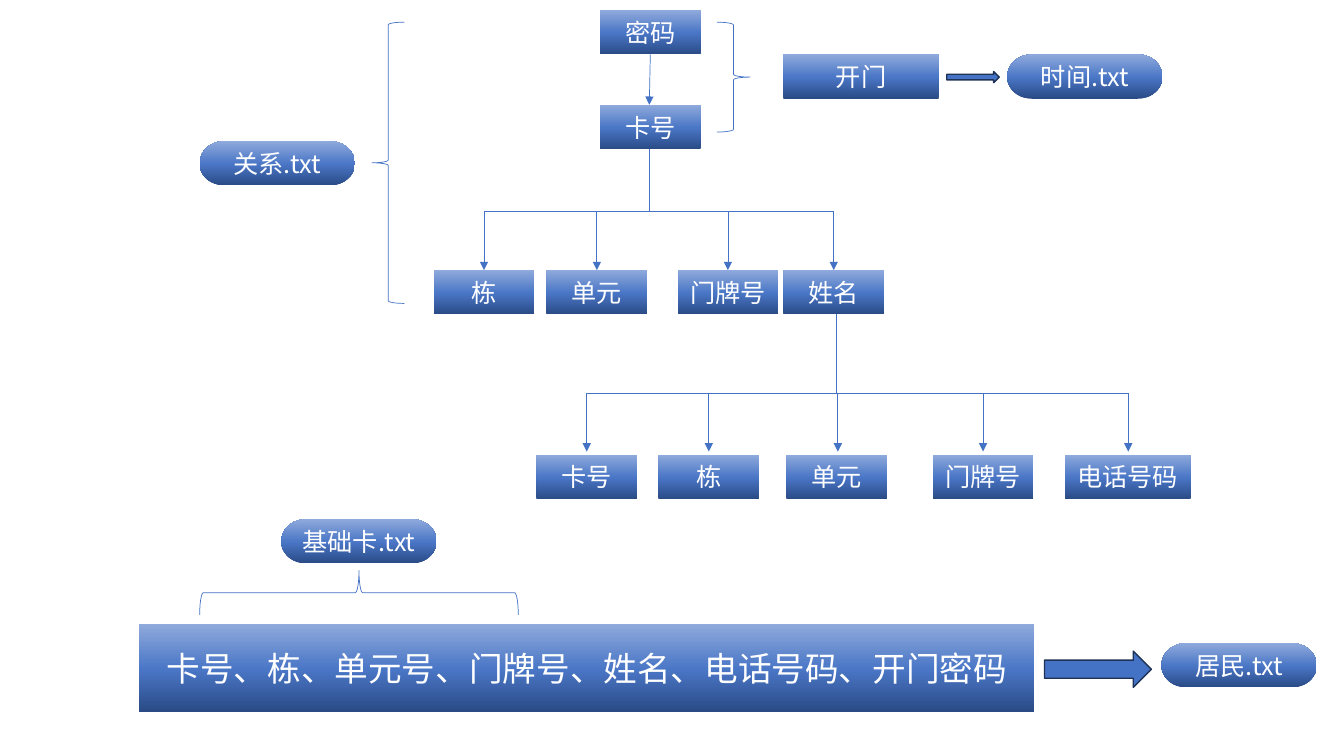
from copy import deepcopy

from lxml.etree import SubElement
from pptx import Presentation
from pptx.dml.color import RGBColor
from pptx.enum.shapes import MSO_CONNECTOR, MSO_SHAPE
from pptx.enum.text import MSO_ANCHOR, PP_ALIGN
from pptx.oxml.ns import qn
from pptx.util import Inches, Pt

FONT = "Noto Sans CJK SC"
BLUE = "4472C4"
ARROW_EDGE = "1E3256"
WHITE = "FFFFFF"
GRADIENT = [(0, "2A4B86"), (0.48, "4A76C6"), (1, "8FAADC")]
BOX_WIDTH, FILE_WIDTH, BOX_HEIGHT = 1, 1.54, 0.44


def color(hex_string):
    return RGBColor.from_string(hex_string)


def add_plain_shape(slide, kind, left, top, width, height):
    shape = slide.shapes.add_shape(
        kind, Inches(left), Inches(top), Inches(width), Inches(height))
    shape.shadow.inherit = False
    return shape


def fill_with_gradient(shape):
    shape.fill.gradient()
    shape.fill.gradient_angle = 90
    stop_list = shape._element.spPr.find(".//" + qn("a:gsLst"))
    stop_list.append(deepcopy(stop_list[-1]))  # the default has only two stops
    for stop, (position, hex_string) in zip(shape.fill.gradient_stops, GRADIENT):
        stop.position = position
        stop.color.rgb = color(hex_string)


def add_box(slide, text, left, top, width=BOX_WIDTH, height=BOX_HEIGHT,
            size=18, kind=MSO_SHAPE.RECTANGLE):
    shape = add_plain_shape(slide, kind, left, top, width, height)
    fill_with_gradient(shape)
    shape.line.fill.background()
    text_frame = shape.text_frame
    text_frame.text = text
    text_frame.word_wrap = False
    text_frame.vertical_anchor = MSO_ANCHOR.MIDDLE
    paragraph = text_frame.paragraphs[0]
    paragraph.alignment = PP_ALIGN.CENTER
    font = paragraph.runs[0].font
    font.name, font.size = FONT, Pt(size)
    font.color.rgb = color(WHITE)
    SubElement(font._element, qn("a:ea"), typeface=FONT)


def add_file(slide, text, left, top):
    add_box(slide, text, left, top, FILE_WIDTH,
            kind=MSO_SHAPE.FLOWCHART_TERMINATOR)


def add_brace(slide, kind, left, top, width, height, rotation=0):
    shape = add_plain_shape(slide, kind, left, top, width, height)
    shape.fill.background()
    shape.line.color.rgb = color(BLUE)
    shape.line.width = Pt(0.5)
    shape.rotation = rotation


def add_block_arrow(slide, left, top, width, height):
    shape = add_plain_shape(slide, MSO_SHAPE.RIGHT_ARROW, left, top, width, height)
    shape.fill.solid()
    shape.fill.fore_color.rgb = color(BLUE)
    shape.line.color.rgb = color(ARROW_EDGE)
    shape.line.width = Pt(1)


def add_line(slide, start, end, arrow=False):
    connector = slide.shapes.add_connector(
        MSO_CONNECTOR.STRAIGHT, *[Inches(value) for value in (*start, *end)])
    connector.line.color.rgb = color(BLUE)
    connector.line.width = Pt(0.5)
    if arrow:
        SubElement(connector.line._get_or_add_ln(), qn("a:tailEnd"), type="triangle")
    SubElement(connector._element.spPr, qn("a:effectLst"))


def add_branch(slide, trunk_x, trunk_top, bus_y, tips):
    """Trunk down to a horizontal bus, with an arrow down at each tip."""
    add_line(slide, (trunk_x, trunk_top), (trunk_x, bus_y))
    add_line(slide, (tips[0], bus_y), (tips[-1], bus_y))
    for tip in tips:
        add_line(slide, (tip, bus_y), (tip, bus_y + 0.58), arrow=True)


def main():
    presentation = Presentation()
    presentation.slide_width = Inches(13.33)
    presentation.slide_height = Inches(7.5)
    slide = presentation.slides.add_slide(presentation.slide_layouts[6])

    # Password leads to card number
    add_box(slide, "密码", 5.95, 0.1)
    add_line(slide, (6.45, 0.54), (6.44, 1.04), arrow=True)
    add_box(slide, "卡号", 5.95, 1.04)

    # Card number branches into address and name
    add_branch(slide, 6.44, 1.48, 2.1, [4.8, 5.92, 7.22, 8.27])
    for text, left in [("栋", 4.3), ("单元", 5.42), ("门牌号", 6.72), ("姓名", 7.77)]:
        add_box(slide, text, left, 2.68)

    # Relation file on the left
    add_brace(slide, MSO_SHAPE.LEFT_BRACE, 3.69, 0.22, 0.32, 2.79)
    add_file(slide, "关系.txt", 1.98, 1.4)

    # Door opening and time file on the right
    add_brace(slide, MSO_SHAPE.RIGHT_BRACE, 7.11, 0.22, 0.33, 1.09)
    add_box(slide, "开门", 7.77, 0.54, FILE_WIDTH)
    add_block_arrow(slide, 9.39, 0.71, 0.52, 0.11)
    add_file(slide, "时间.txt", 9.99, 0.54)

    # Name branches into the resident's details
    add_branch(slide, 8.3, 3.12, 3.9, [5.82, 7.03, 8.31, 9.75, 11.19])
    for text, left, width in [("卡号", 5.32, BOX_WIDTH), ("栋", 6.53, BOX_WIDTH),
                              ("单元", 7.8, BOX_WIDTH), ("门牌号", 9.25, BOX_WIDTH),
                              ("电话号码", 10.56, 1.25)]:
        add_box(slide, text, left, 4.51, width)

    # Full record with the base card and resident files
    add_box(slide, "卡号、栋、单元号、门牌号、姓名、电话号码、开门密码",
            1.38, 6.19, 8.88, 0.87, size=24)
    add_brace(slide, MSO_SHAPE.LEFT_BRACE, 3.34, 4.3, 0.44, 3.16, rotation=90)
    add_file(slide, "基础卡.txt", 2.79, 5.15)
    add_block_arrow(slide, 10.36, 6.46, 1.06, 0.36)
    add_file(slide, "居民.txt", 11.52, 6.38)

    presentation.save("out.pptx")


if __name__ == "__main__":
    main()
